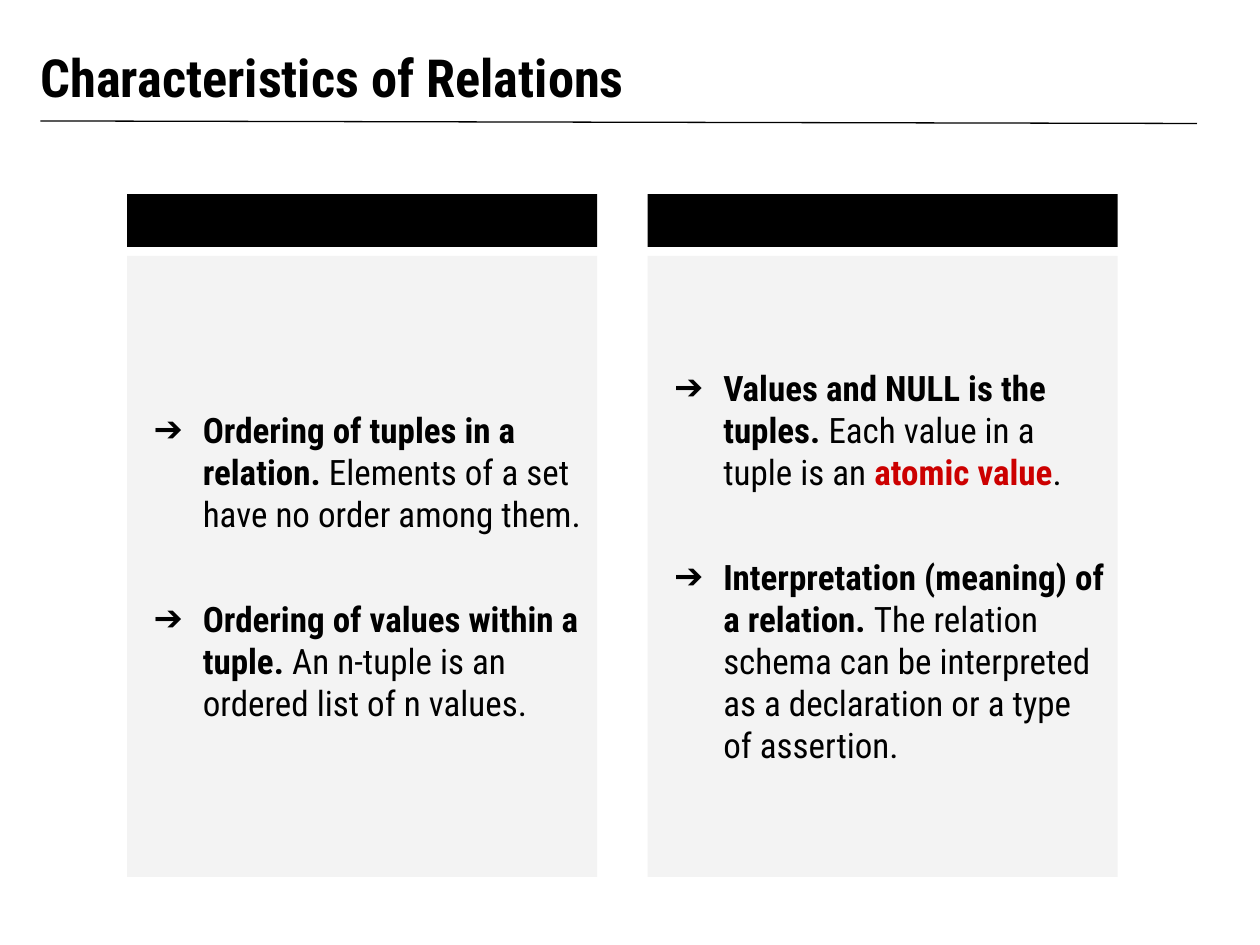
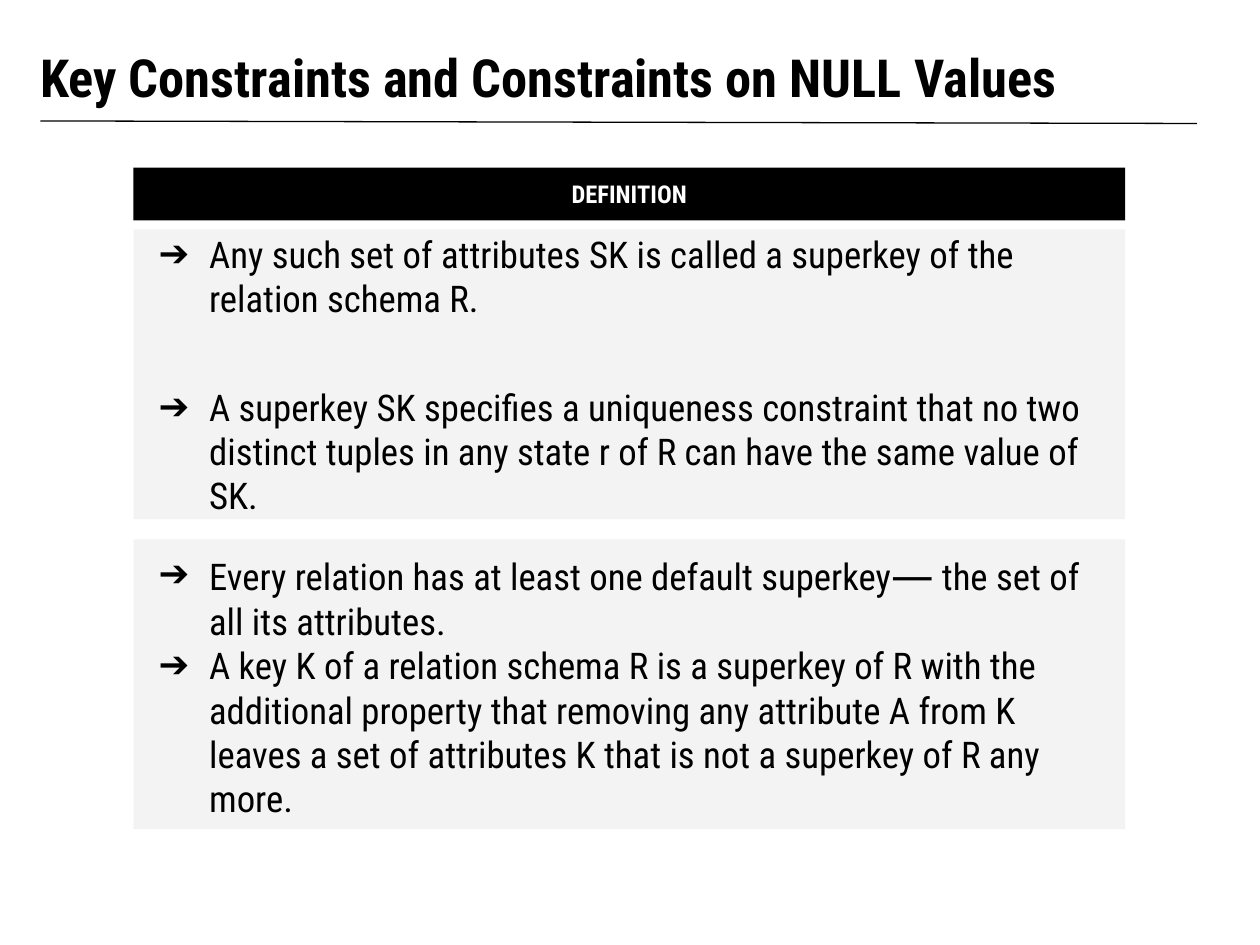
from dataclasses import dataclass

from lxml.etree import SubElement
from pptx import Presentation
from pptx.dml.color import RGBColor
from pptx.enum.shapes import MSO_CONNECTOR, MSO_SHAPE
from pptx.enum.text import MSO_ANCHOR, MSO_AUTO_SIZE, PP_ALIGN
from pptx.oxml.ns import qn
from pptx.util import Inches, Pt


@dataclass(frozen=True)
class Theme:
    font: str = "Roboto Condensed"
    dash_font: str = "Noto Sans"
    ink: str = "000000"
    paper: str = "FFFFFF"
    panel: str = "F3F3F3"
    accent: str = "CC0000"
    title_size: int = 30
    band_size: int = 14
    dash_size: int = 24
    rule_width: float = 0.75
    space_before: int = 6
    bullet: str = "➔"


THEME = Theme()
BOLD = {"bold": True}
ATOMIC = {"bold": True, "color": THEME.accent}
DASH = {"font": THEME.dash_font, "size": THEME.dash_size}

RELATION_LISTS = [
    [
        [("Ordering of tuples in a relation. ", BOLD),
         ("Elements of a set have no order among them.", {})],
        [("Ordering of values within a tuple. ", BOLD),
         ("An n-tuple is an ordered list of n values.", {})],
    ],
    [
        [("Values and NULL is the tuples. ", BOLD),
         ("Each value in a tuple is an ", {}),
         ("atomic value", ATOMIC),
         (".", {})],
        [("Interpretation (meaning) of a relation. ", BOLD),
         ("The relation schema can be interpreted as a declaration "
          "or a type of assertion.", {})],
    ],
]
KEY_LISTS = [
    [
        [("Any such set of attributes SK is called a superkey of the "
          "relation schema R.", {})],
        [("A superkey SK specifies a uniqueness constraint that no two distinct "
          "tuples in any state r of R can have the same value of SK.", {})],
    ],
    [
        [("Every relation has at least one default superkey", {}),
         ("—", DASH),
         (" the set of all its attributes.", {})],
        [("A key K of a relation schema R is a superkey of R with the additional "
          "property that removing any attribute A from K leaves a set of "
          "attributes K that is not a superkey of R any more.", {})],
    ],
]

SLIDES = [
    {"title": "Characteristics of Relations", "lists": RELATION_LISTS,
     "origin": (1.01, 1.54), "panel": (3.73, 4.93), "step": (4.13, 0),
     "bands": ["", ""], "size": 20, "hanging": 0.39, "item_gaps": [36, 36]},
    {"title": "Key Constraints and Constraints on NULL Values", "lists": KEY_LISTS,
     "origin": (1.06, 1.33), "panel": (7.87, 2.3), "step": (0, 2.46),
     "bands": ["DEFINITION"], "size": 21, "hanging": 0.4, "item_gaps": [37, 0]},
]
TITLE_BOX = (0.22, 0.22, 9, 0.74)
RULE = (0.32, 0.96, 9.5, 0.98)
BAND_HEIGHT = 0.42
BAND_TO_PANEL = 0.49
TEXT_INDENT = 0.5
INSET = 0.1


def rgb(color):
    return RGBColor.from_string(color)


def place(shape, left, top, width, height):
    shape.left, shape.top = Inches(left), Inches(top)
    shape.width, shape.height = Inches(width), Inches(height)


def fill(shape, color):
    shape.fill.solid()
    shape.fill.fore_color.rgb = rgb(color)
    shape.line.fill.background()


def set_frame(shape, anchor):
    frame = shape.text_frame
    frame.word_wrap = True
    frame.auto_size = MSO_AUTO_SIZE.NONE
    frame.vertical_anchor = anchor
    frame.margin_left = frame.margin_right = Inches(INSET)
    frame.margin_top = frame.margin_bottom = Inches(INSET)
    return frame


def add_run(paragraph, text, size, color=THEME.ink, bold=False, font=THEME.font):
    run = paragraph.add_run()
    run.text = text
    run.font.name = font
    run.font.size = Pt(size)
    run.font.bold = bold
    run.font.color.rgb = rgb(color)


def set_bullet(paragraph, hanging):
    properties = paragraph._p.get_or_add_pPr()
    properties.set("marL", str(Inches(TEXT_INDENT)))
    properties.set("indent", str(-Inches(hanging)))
    color = SubElement(properties, qn("a:buClr"))
    SubElement(color, qn("a:srgbClr"), val=THEME.ink)
    SubElement(properties, qn("a:buFont"), typeface=THEME.font)
    SubElement(properties, qn("a:buChar"), char=THEME.bullet)


def add_title(slide, text):
    title = slide.shapes.title
    place(title, *TITLE_BOX)
    paragraph = set_frame(title, MSO_ANCHOR.BOTTOM).paragraphs[0]
    paragraph.alignment = PP_ALIGN.LEFT
    add_run(paragraph, text, THEME.title_size, bold=True)
    rule = slide.shapes.add_connector(MSO_CONNECTOR.STRAIGHT, *map(Inches, RULE))
    rule.line.color.rgb = rgb(THEME.ink)
    rule.line.width = Pt(THEME.rule_width)
    SubElement(rule._element.spPr, qn("a:effectLst"))


def add_band(slide, left, top, width, text):
    band = slide.shapes.add_shape(
        MSO_SHAPE.RECTANGLE, *map(Inches, (left, top, width, BAND_HEIGHT)))
    band.shadow.inherit = False
    fill(band, THEME.ink)
    if text:
        paragraph = set_frame(band, MSO_ANCHOR.MIDDLE).paragraphs[0]
        paragraph.alignment = PP_ALIGN.CENTER
        add_run(paragraph, text, THEME.band_size, THEME.paper, bold=True)


def fill_list(panel, items, size, hanging, item_gap):
    fill(panel, THEME.panel)
    frame = set_frame(panel, MSO_ANCHOR.MIDDLE)
    for index, item in enumerate(items):
        paragraph = frame.add_paragraph() if index else frame.paragraphs[0]
        paragraph.alignment = PP_ALIGN.LEFT
        paragraph.space_before = Pt(item_gap if index else THEME.space_before)
        set_bullet(paragraph, hanging)
        for text, style in item:
            add_run(paragraph, text, **{"size": size, **style})


def build_slide(presentation, content):
    slide = presentation.slides.add_slide(
        presentation.slide_layouts.get_by_name("Two Content"))
    add_title(slide, content["title"])
    left, top = content["origin"]
    width, height = content["panel"]
    step_x, step_y = content["step"]
    panels = list(slide.placeholders)[1:]
    for index, (panel, items, gap) in enumerate(
            zip(panels, content["lists"], content["item_gaps"])):
        place(panel, left + index * step_x,
              top + BAND_TO_PANEL + index * step_y, width, height)
        fill_list(panel, items, content["size"], content["hanging"], gap)
    for index, text in enumerate(content["bands"]):
        add_band(slide, left + index * step_x, top, width, text)


def main():
    presentation = Presentation()
    presentation.slide_width = Inches(10)
    presentation.slide_height = Inches(7.5)
    for content in SLIDES:
        build_slide(presentation, content)
    presentation.save("out.pptx")


if __name__ == "__main__":
    main()
